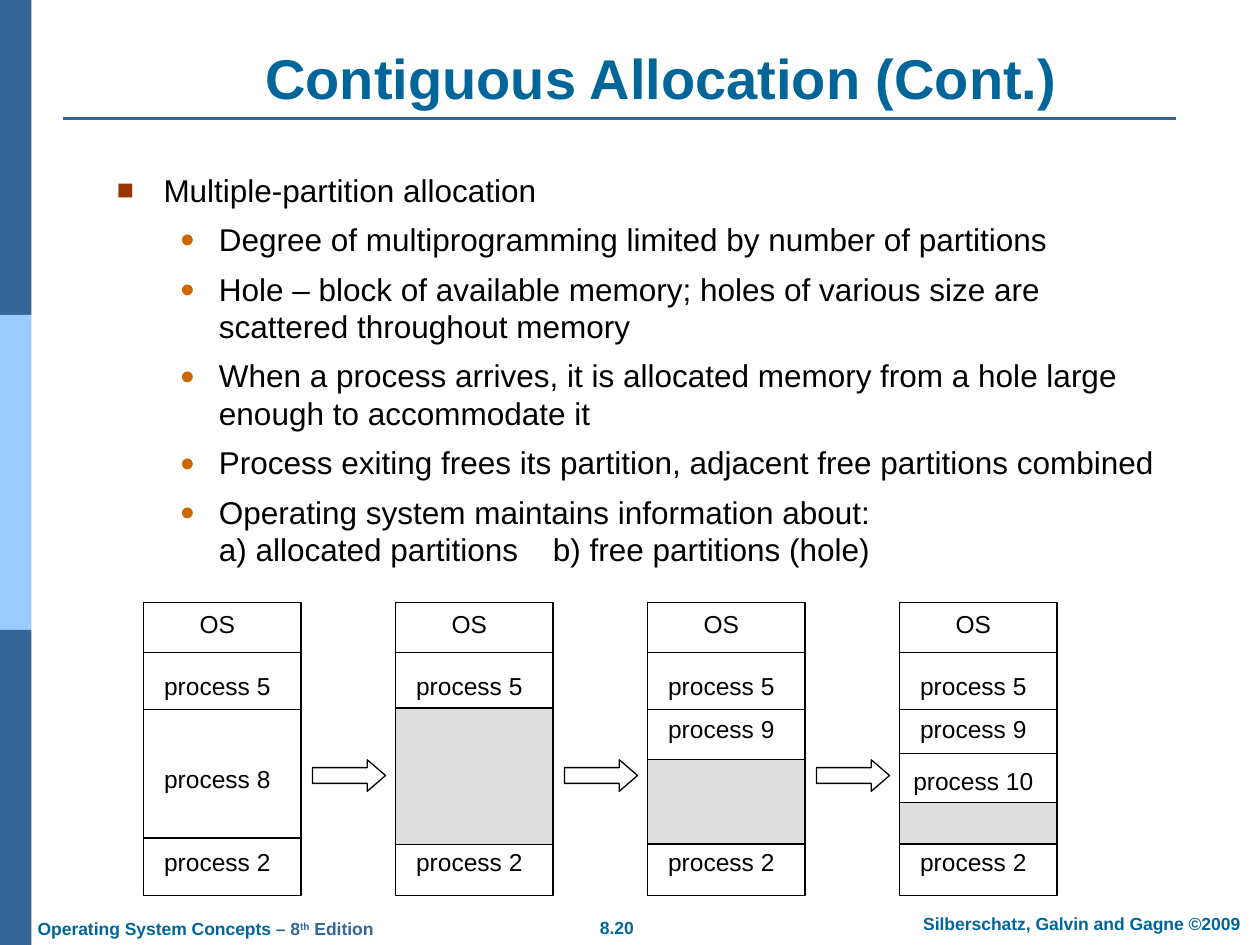
from dataclasses import dataclass

from lxml import etree
from pptx import Presentation
from pptx.dml.color import RGBColor
from pptx.enum.shapes import MSO_CONNECTOR, MSO_SHAPE
from pptx.enum.text import MSO_ANCHOR as Anchor, PP_ALIGN as Align
from pptx.oxml.ns import qn
from pptx.util import Inches, Pt

COLORS = {
    "bar": "336699", "light_bar": "99CCFF", "heading": "006699",
    "text": "000000", "outline": "000000", "memory": "FFFFFF", "hole": "DDDDDD",
    "square_bullet": "993300", "round_bullet": "CC6600",
}
FONT = "Arial"
COLUMN_LEFT, COLUMN_PITCH, COLUMN_WIDTH = 1.14, 2, 1.25
COLUMN_TOP, COLUMN_HEIGHT = 4.78, 2.33
SHARED_DIVIDERS = (5.18, 5.63, 6.65)
HOLE_BOTTOM = 6.7


@dataclass
class MemoryState:
    """Processes as (name, label top) pairs, between OS and process 2."""
    processes: list[tuple[str, float]]
    hole_top: float | None = None
    extra_dividers: tuple[float, ...] = ()


@dataclass
class Bullet:
    char: str
    color: str
    percent: int
    margin: float
    hanging: float
    level: int


SQUARE = Bullet("■", "square_bullet", 90, 0.37, 0.37, 0)
ROUND = Bullet("●", "round_bullet", 80, 0.81, 0.31, 1)

BODY = [
    (SQUARE, "Multiple-partition allocation"),
    (ROUND, "Degree of multiprogramming limited by number of partitions"),
    (ROUND, "Hole – block of available memory; holes of various size are "
            "scattered throughout memory"),
    (ROUND, "When a process arrives, it is allocated memory from a hole large "
            "enough to accommodate it"),
    (ROUND, "Process exiting frees its partition, adjacent free partitions combined"),
    (ROUND, "Operating system maintains information about:\v"
            "a) allocated partitions\tb) free partitions (hole)"),
]
PROCESS_5 = ("process 5", 5.27)
PROCESS_9 = ("process 9", 5.61)
STATES = [
    MemoryState([PROCESS_5, ("process 8", 6.01)]),
    MemoryState([PROCESS_5], hole_top=5.62),
    MemoryState([PROCESS_5, PROCESS_9], hole_top=6.03),
    MemoryState([PROCESS_5, PROCESS_9, ("process 10", 6.03)],
                hole_top=6.37, extra_dividers=(5.98,)),
]


def rgb(name: str) -> RGBColor:
    return RGBColor.from_string(COLORS[name])


def add_block(slide, kind, left: float, top: float, width: float, height: float,
              fill: str, outlined: bool = True):
    block = slide.shapes.add_shape(
        kind, Inches(left), Inches(top), Inches(width), Inches(height))
    block.shadow.inherit = False
    block.fill.solid()
    block.fill.fore_color.rgb = rgb(fill)
    if outlined:
        block.line.color.rgb = rgb("outline")
        block.line.width = Pt(0.75)
    else:
        block.line.fill.background()
    return block


def add_rule(slide, left: float, right: float, y: float, color: str, weight: float):
    rule = slide.shapes.add_connector(
        MSO_CONNECTOR.STRAIGHT, Inches(left), Inches(y), Inches(right), Inches(y))
    rule.line.color.rgb = rgb(color)
    rule.line.width = Pt(weight)
    etree.SubElement(rule._element.spPr, qn("a:effectLst"))


def add_label(slide, left: float, top: float, width: float, height: float, text: str,
              size: float, color: str = "text", bold: bool = False, align=Align.CENTER,
              anchor=Anchor.TOP, wrap: bool = True):
    label = slide.shapes.add_textbox(
        Inches(left), Inches(top), Inches(width), Inches(height))
    frame = label.text_frame
    frame.word_wrap = wrap
    frame.vertical_anchor = anchor
    paragraph = frame.paragraphs[0]
    paragraph.text = text
    paragraph.alignment = align
    style_font(paragraph.font, size, color, bold)
    return paragraph


def style_font(font, size: float, color: str, bold: bool = False):
    font.name = FONT
    font.size = Pt(size)
    font.bold = bold
    font.color.rgb = rgb(color)


def set_bullet(paragraph, bullet: Bullet):
    """Add the bullet, hanging indent and the tab stop for side-by-side items."""
    paragraph.level = bullet.level
    props = paragraph._p.get_or_add_pPr()
    props.set("marL", str(Inches(bullet.margin)))
    props.set("indent", str(-Inches(bullet.hanging)))
    color = etree.SubElement(props, qn("a:buClr"))
    etree.SubElement(color, qn("a:srgbClr"), val=COLORS[bullet.color])
    etree.SubElement(props, qn("a:buSzPct"), val=str(bullet.percent * 1000))
    etree.SubElement(props, qn("a:buFont"), typeface=FONT)
    etree.SubElement(props, qn("a:buChar"), char=bullet.char)
    if "\t" in paragraph.text:
        tabs = etree.SubElement(props, qn("a:tabLst"))
        etree.SubElement(tabs, qn("a:tab"), pos=str(Inches(3.46)), algn="l")


def add_body(slide):
    box = slide.shapes.add_textbox(Inches(0.83), Inches(1.31), Inches(8.5), Inches(3.57))
    frame = box.text_frame
    frame.word_wrap = True
    for index, (bullet, text) in enumerate(BODY):
        paragraph = frame.add_paragraph() if index else frame.paragraphs[0]
        paragraph.text = text
        set_bullet(paragraph, bullet)
        if index:
            paragraph.space_before = Pt(6.5)
        style_font(paragraph.font, 18, "text")


def add_memory_column(slide, left: float, state: MemoryState):
    add_block(slide, MSO_SHAPE.RECTANGLE, left, COLUMN_TOP, COLUMN_WIDTH,
              COLUMN_HEIGHT, "memory")
    for y in SHARED_DIVIDERS + state.extra_dividers:
        add_rule(slide, left, left + COLUMN_WIDTH, y, "outline", 0.75)
    if state.hole_top is not None:
        add_block(slide, MSO_SHAPE.RECTANGLE, left, state.hole_top, COLUMN_WIDTH,
                  HOLE_BOTTOM - state.hole_top, "hole")
    add_label(slide, left + 0.34, COLUMN_TOP, 0.49, 0.34, "OS", 14,
              anchor=Anchor.MIDDLE, wrap=False)
    for name, top in [*state.processes, ("process 2", 6.67)]:
        add_label(slide, left, top, 1.17, 0.34, name, 14, anchor=Anchor.MIDDLE)


def add_footer(slide):
    add_label(slide, 4.65, 7.23, 0.49, 0.27, "8.20", 10, "heading", True, wrap=False)
    add_label(slide, 7.1, 7.2, 2.97, 0.27, "Silberschatz, Galvin and Gagne ©2009",
              10, "heading", True)
    book = add_label(slide, 0.2, 7.24, 2.91, 0.27, "Operating System Concepts",
                     10, "heading", True, Align.LEFT, wrap=False)
    for text in (" – 8", "th", " Edition"):
        run = book.add_run()
        run.text = text
        run.font.color.rgb = rgb("bar")
        if text == "th":
            run.font._element.set("baseline", "30000")


def main():
    prs = Presentation()
    prs.slide_width, prs.slide_height = Inches(10), Inches(7.5)
    slide = prs.slides.add_slide(prs.slide_layouts[6])

    for index, color in enumerate(("bar", "light_bar", "bar")):
        add_block(slide, MSO_SHAPE.RECTANGLE, 0, index * 2.5, 0.25, 2.5, color, False)
    add_rule(slide, 0.5, 9.33, 0.94, "bar", 1.5)
    add_footer(slide)
    add_label(slide, 1, 0.3, 8.5, 0.63, "Contiguous Allocation (Cont.)", 32,
              "heading", True, anchor=Anchor.BOTTOM)
    add_body(slide)

    for index, state in enumerate(STATES):
        left = COLUMN_LEFT + index * COLUMN_PITCH
        add_memory_column(slide, left, state)
        if index < len(STATES) - 1:
            arrow = add_block(slide, MSO_SHAPE.RIGHT_ARROW, left + 1.34, 6.03,
                              0.58, 0.25, "memory")
            arrow.adjustments[1] = 0.58
    prs.save("out.pptx")


if __name__ == "__main__":
    main()
